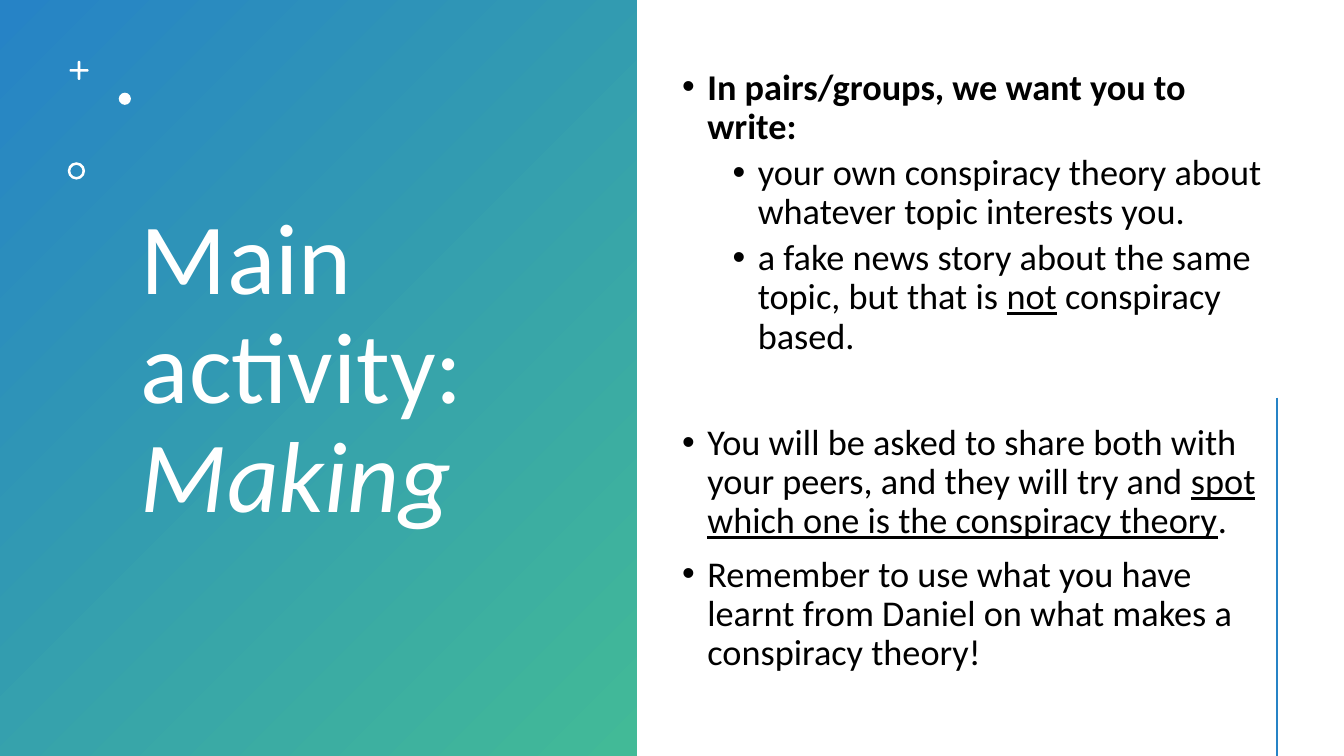
from dataclasses import dataclass
from math import cos, pi, sin
from lxml.etree import SubElement
from pptx import Presentation
from pptx.dml.color import RGBColor
from pptx.enum.shapes import MSO_CONNECTOR, MSO_SHAPE
from pptx.enum.text import MSO_ANCHOR
from pptx.oxml.ns import qn
from pptx.util import Pt


@dataclass(frozen=True)
class Theme:
    blue: str = "2683C6"
    green: str = "42BA97"
    white: str = "FFFFFF"
    black: str = "000000"
    font: str = "Calibri"
    title: float = 72
    body: float = 25.9


def add_run(para, text, size, color, font, bold=False, italic=False, under=False):
    run = para.add_run()
    run.text = text
    style = run.font
    style.size, style.name = Pt(size), font
    style.bold, style.italic, style.underline = bold, italic, under
    style.color.rgb = RGBColor.from_string(color)


class Deck:
    def __init__(self, theme, width, height):
        self.theme = theme
        self.file = Presentation()
        self.file.slide_width, self.file.slide_height = Pt(width), Pt(height)
        self.slide = self.file.slides.add_slide(self.file.slide_layouts[6])

    def paint(self, shape, color):
        shape.shadow.inherit = False
        shape.fill.solid()
        shape.fill.fore_color.rgb = RGBColor.from_string(color)
        shape.line.fill.background()

    def shape(self, kind, box, color):
        shape = self.slide.shapes.add_shape(kind, *map(Pt, box))
        self.paint(shape, color)
        return shape

    def panel(self, box, colors):
        shape = self.shape(MSO_SHAPE.RECTANGLE, box, colors[0])
        shape.fill.gradient()
        shape.fill.gradient_angle = 315
        for place, (stop, color) in enumerate(zip(shape.fill.gradient_stops, colors)):
            stop.position = place
            stop.color.rgb = RGBColor.from_string(color)

    def plus(self, mid_x, mid_y, reach, half, color):
        points = []
        for arm in range(4):
            turn = arm * pi / 2
            for step in range(9):
                bend = turn - pi / 2 + step * pi / 8
                points.append((
                    mid_x + (reach - half) * cos(turn) + half * cos(bend),
                    mid_y + (reach - half) * sin(turn) + half * sin(bend),
                ))
            inner = turn + pi / 4
            points.append((
                mid_x + half * 2 ** 0.5 * cos(inner),
                mid_y + half * 2 ** 0.5 * sin(inner),
            ))
        points = [(Pt(x), Pt(y)) for x, y in points]
        path = self.slide.shapes.build_freeform(*points[0])
        path.add_line_segments(points[1:], close=True)
        self.paint(path.convert_to_shape(), color)

    def rule(self, x, top, end, color, width):
        line = self.slide.shapes.add_connector(
            MSO_CONNECTOR.STRAIGHT, *map(Pt, (x, top, x, end)))
        line.line.color.rgb = RGBColor.from_string(color)
        line.line.width = Pt(width)
        SubElement(line._element.spPr, qn("a:effectLst"))

    def text(self, box, paras, size, color):
        frame = self.slide.shapes.add_textbox(*map(Pt, box)).text_frame
        frame.word_wrap = True
        frame.vertical_anchor = MSO_ANCHOR.MIDDLE
        for place, (indent, before, runs) in enumerate(paras):
            para = frame.add_paragraph() if place else frame.paragraphs[0]
            para.line_spacing = 0.9
            para.space_before = Pt(before)
            if indent:
                props = para._p.get_or_add_pPr()
                props.set("marL", str(Pt(indent)))
                props.set("indent", str(Pt(-18)))
                SubElement(props, qn("a:buFont")).set("typeface", "Arial")
                SubElement(props, qn("a:buChar")).set("char", "•")
            for words, look in runs:
                add_run(para, words, size, color, self.theme.font, **look)


theme = Theme()
deck = Deck(theme, 960, 540)
deck.panel((0, 0, 455, 540), (theme.blue, theme.green))
deck.text((93.6, 30, 315.4, 470), [
    (0, 0, [("Main activity: ", {}), ("Making", {"italic": True})]),
], theme.title, theme.white)

deck.plus(56.5, 50.3, 6.8, 0.95, theme.white)
deck.shape(MSO_SHAPE.OVAL, (84.8, 66.2, 8.7, 8.7), theme.white)
ring = deck.shape(MSO_SHAPE.DONUT, (48.4, 115.9, 12.4, 12.4), theme.white)
ring.adjustments[0] = 0.15

plain, under = {}, {"under": True}
deck.text((480.2, 30, 430, 470), [
    (18, 10, [("In pairs/groups, we want you to write:", {"bold": True})]),
    (54, 5, [("your own conspiracy theory about whatever topic interests you.", plain)]),
    (54, 5, [("a fake news story about the same topic, but that is ", plain),
             ("not", under), (" conspiracy based.", plain)]),
    (18, 48, [("You will be asked to share both with your peers, "
               "and they will try and ", plain),
              ("spot which one is the conspiracy theory", under), (". ", plain)]),
    (18, 10, [("Remember to use what you have learnt from Daniel "
               "on what makes a conspiracy theory!", plain)]),
], theme.body, theme.black)
deck.rule(912.2, 284, 540, theme.blue, 2)
deck.file.save("out.pptx")
